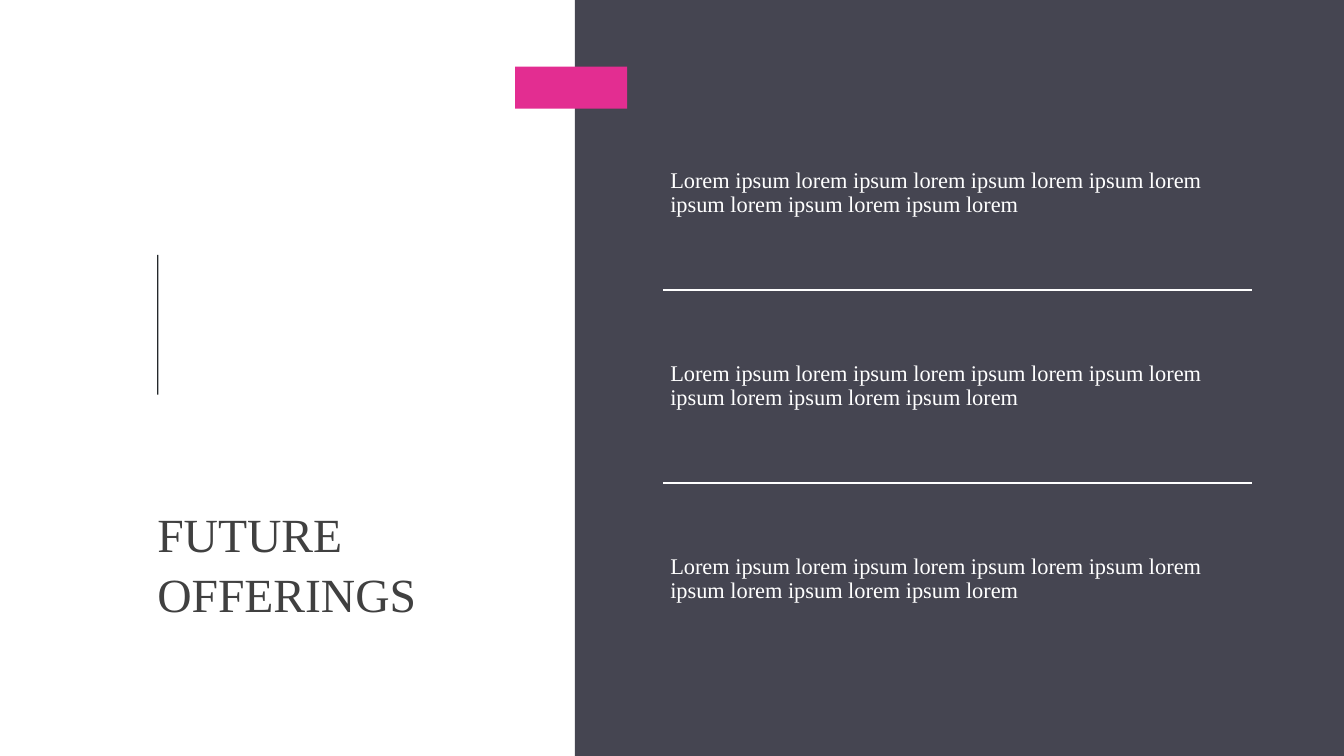
from pptx import Presentation
from pptx.dml.color import RGBColor
from pptx.enum import shapes, text
from pptx.oxml.ns import qn
from pptx.util import Pt
from lxml import etree

WHITE = RGBColor(0xFF, 0xFF, 0xFF)
SLATE = RGBColor(0x45, 0x45, 0x51)
PINK = RGBColor(0xE3, 0x2D, 0x91)
CHARCOAL = RGBColor(0x24, 0x28, 0x2B)
TITLE_GREY = RGBColor(0x40, 0x40, 0x40)
FONT = "Times New Roman"

OFFERINGS = ["Lorem ipsum lorem ipsum lorem ipsum lorem ipsum lorem "
             "ipsum lorem ipsum lorem ipsum lorem"] * 3
LIST_LEFT, LIST_TOP, LIST_WIDTH, ROW_HEIGHT = 473.8, 69.4, 420.5, 137.8


def add_block(s, left, top, width, height, color):
    sp = s.shapes.add_shape(shapes.MSO_SHAPE.RECTANGLE,
                            Pt(left), Pt(top), Pt(width), Pt(height))
    sp.shadow.inherit = False
    sp.fill.solid()
    sp.fill.fore_color.rgb = color
    sp.line.fill.background()


def add_text(s, box, words, size, color, anchor, inset, spacing):
    sp = s.shapes.add_textbox(*(Pt(v) for v in box))
    tf = sp.text_frame
    tf.word_wrap = True
    tf.vertical_anchor = anchor
    tf.margin_left = tf.margin_top = Pt(inset)
    tf.margin_right = tf.margin_bottom = Pt(inset)
    p = tf.paragraphs[0]
    p.line_spacing = spacing
    r = p.add_run()
    r.text = words
    r.font.name = FONT
    r.font.size = Pt(size)
    r.font.color.rgb = color


def add_divider(s, y):
    line = s.shapes.add_connector(shapes.MSO_CONNECTOR.STRAIGHT, Pt(LIST_LEFT),
                                  Pt(y), Pt(LIST_LEFT + LIST_WIDTH), Pt(y))
    line.line.color.rgb = WHITE
    line.line.width = Pt(1.75)
    etree.SubElement(line._element.spPr, qn("a:effectLst"))


def main():
    prs = Presentation()
    prs.slide_width, prs.slide_height = Pt(960), Pt(540)
    s = prs.slides.add_slide(prs.slide_layouts[6])

    add_block(s, 410.6, 0, 549.4, 540, SLATE)
    add_block(s, 112.2, 182, 1, 100, CHARCOAL)
    add_block(s, 368, 47.6, 80, 30, PINK)
    add_text(s, (112.4, 317.5, 288, 126.7), "FUTURE OFFERINGS", 34, TITLE_GREY,
             text.MSO_ANCHOR.BOTTOM, 0, 1.04)

    for i, offering in enumerate(OFFERINGS):
        top = LIST_TOP + i * ROW_HEIGHT
        if i:
            add_divider(s, top)
        add_text(s, (LIST_LEFT, top, LIST_WIDTH, ROW_HEIGHT), offering, 16,
                 WHITE, text.MSO_ANCHOR.MIDDLE, 5, 0.9)

    prs.save("out.pptx")


if __name__ == "__main__":
    main()
